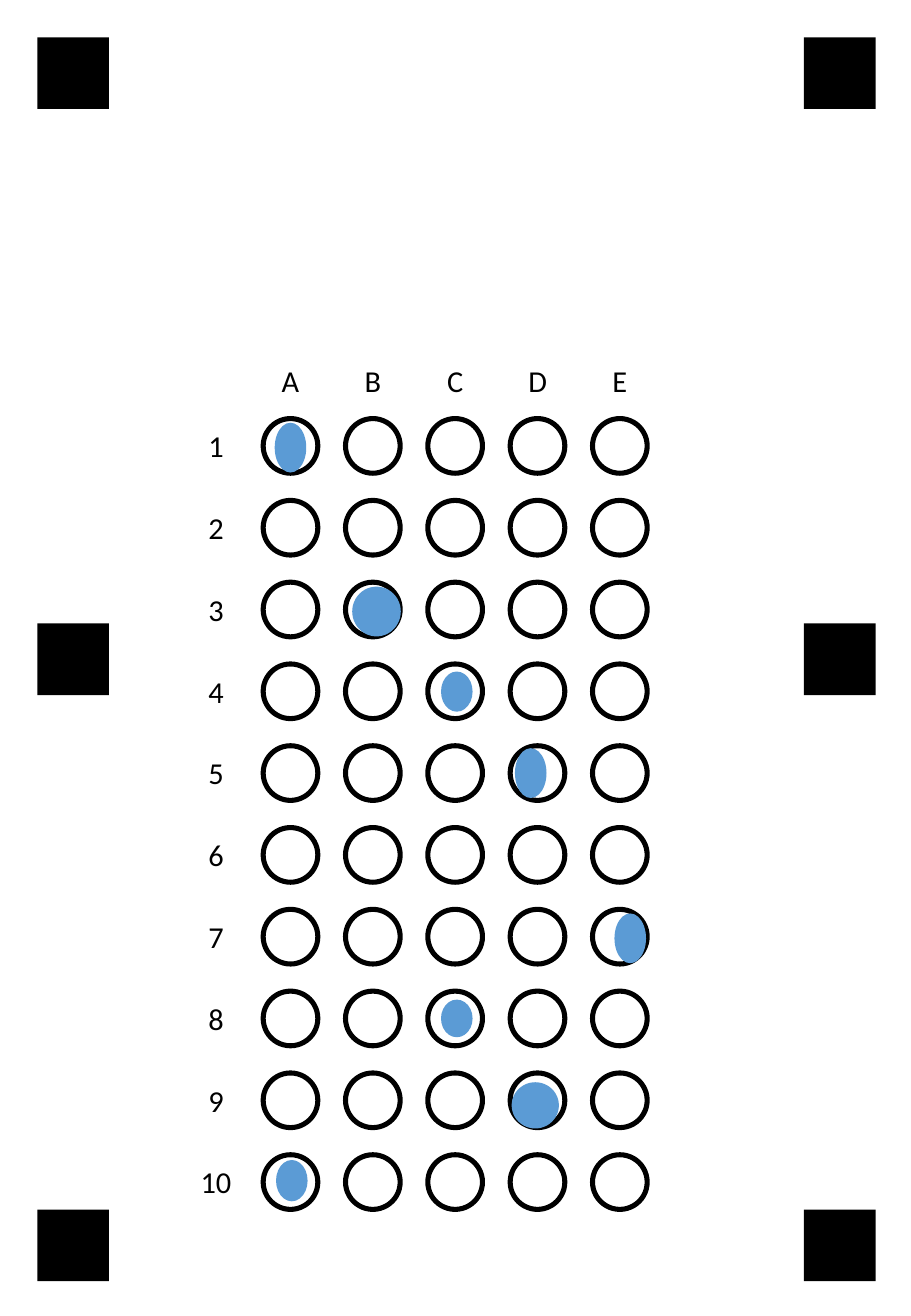
from dataclasses import dataclass
from itertools import product

from pptx import Presentation
from pptx.dml.color import RGBColor
from pptx.enum.shapes import MSO_SHAPE
from pptx.enum.text import MSO_ANCHOR, MSO_AUTO_SIZE, PP_ALIGN
from pptx.util import Pt


@dataclass(frozen=True)
class Theme:
    """Colours and type of the answer sheet."""
    ink: RGBColor = RGBColor(0x00, 0x00, 0x00)
    pencil: RGBColor = RGBColor(0x5B, 0x9B, 0xD5)
    font: str = "Calibri"
    label_size: int = 18
    outline: int = 3


class AnswerSheet:
    """Draws the elements of an answer sheet, each placed by its centre."""

    def __init__(self, slide, theme):
        """Keep the slide and its style."""
        self.slide = slide
        self.theme = theme

    def box(self, center_x, center_y, width, height):
        """Turn a centre and a size into left, top, width and height."""
        return (Pt(center_x - width / 2), Pt(center_y - height / 2),
                Pt(width), Pt(height))

    def solid(self, kind, color, *place):
        """Add a filled shape without a line."""
        shape = self.slide.shapes.add_shape(kind, *self.box(*place))
        shape.shadow.inherit = False
        shape.fill.solid()
        shape.fill.fore_color.rgb = color
        shape.line.fill.background()

    def marker(self, center_x, center_y, size):
        """Add a square alignment marker."""
        self.solid(MSO_SHAPE.RECTANGLE, self.theme.ink,
                   center_x, center_y, size, size)

    def mark(self, *place):
        """Add a pencil mark."""
        self.solid(MSO_SHAPE.OVAL, self.theme.pencil, *place)

    def bubble(self, center_x, center_y, size):
        """Add an empty answer bubble."""
        shape = self.slide.shapes.add_shape(
            MSO_SHAPE.OVAL, *self.box(center_x, center_y, size, size))
        shape.shadow.inherit = False
        shape.fill.background()
        shape.line.color.rgb = self.theme.ink
        shape.line.width = Pt(self.theme.outline)

    def label(self, text, center_x, center_y, width):
        """Add a centred row or column label."""
        shape = self.slide.shapes.add_textbox(
            *self.box(center_x, center_y, width, 29))
        frame = shape.text_frame
        frame.word_wrap = False
        frame.auto_size = MSO_AUTO_SIZE.SHAPE_TO_FIT_TEXT
        frame.vertical_anchor = MSO_ANCHOR.TOP
        paragraph = frame.paragraphs[0]
        paragraph.text = text
        paragraph.alignment = PP_ALIGN.CENTER
        paragraph.font.name = self.theme.font
        paragraph.font.size = Pt(self.theme.label_size)
        paragraph.font.color.rgb = self.theme.ink


MARKER_SIZE, BUBBLE_SIZE = 42.5, 32.4
MARKER_COLUMNS = (43.4, 497.8)
MARKER_ROWS = (43.4, 390.8, 738.2)
CHOICES = "ABCDE"
QUESTIONS = range(1, 11)
LABEL_COLUMN, LABEL_ROW = 128, 225.5

column_centers = {choice: 172.2 + 48.8 * index
                  for index, choice in enumerate(CHOICES)}
row_centers = {question: 264.3 + 48.48 * (question - 1)
               for question in QUESTIONS}

# Question, choice, shift from the bubble's centre, width and height
PENCIL_MARKS = [
    (1, "A", 0, 1, 18.7, 29.5),
    (3, "B", 2.2, 1.2, 28.8, 29.5),
    (4, "C", 1, 0.2, 18.7, 23.8),
    (5, "D", -4, 0, 18.7, 29.5),
    (7, "E", 6.2, 1, 18.7, 29.5),
    (8, "C", 1, 0, 18.7, 22.3),
    (9, "D", -1.3, 3, 28, 27.4),
    (10, "A", 0.8, -0.8, 18.7, 24.5),
]

presentation = Presentation()
presentation.slide_width, presentation.slide_height = Pt(540), Pt(780)
sheet = AnswerSheet(
    presentation.slides.add_slide(presentation.slide_layouts[6]), Theme())

for center_x, center_y in product(MARKER_COLUMNS, MARKER_ROWS):
    sheet.marker(center_x, center_y, MARKER_SIZE)
for center_y, center_x in product(row_centers.values(),
                                  column_centers.values()):
    sheet.bubble(center_x, center_y, BUBBLE_SIZE)
for choice, center_x in column_centers.items():
    sheet.label(choice, center_x, LABEL_ROW, 25)
for question, center_y in row_centers.items():
    text = str(question)
    sheet.label(text, LABEL_COLUMN, center_y, 14.4 + 9.2 * len(text))
for question, choice, shift_x, shift_y, width, height in PENCIL_MARKS:
    sheet.mark(column_centers[choice] + shift_x,
               row_centers[question] + shift_y, width, height)

presentation.save("out.pptx")
